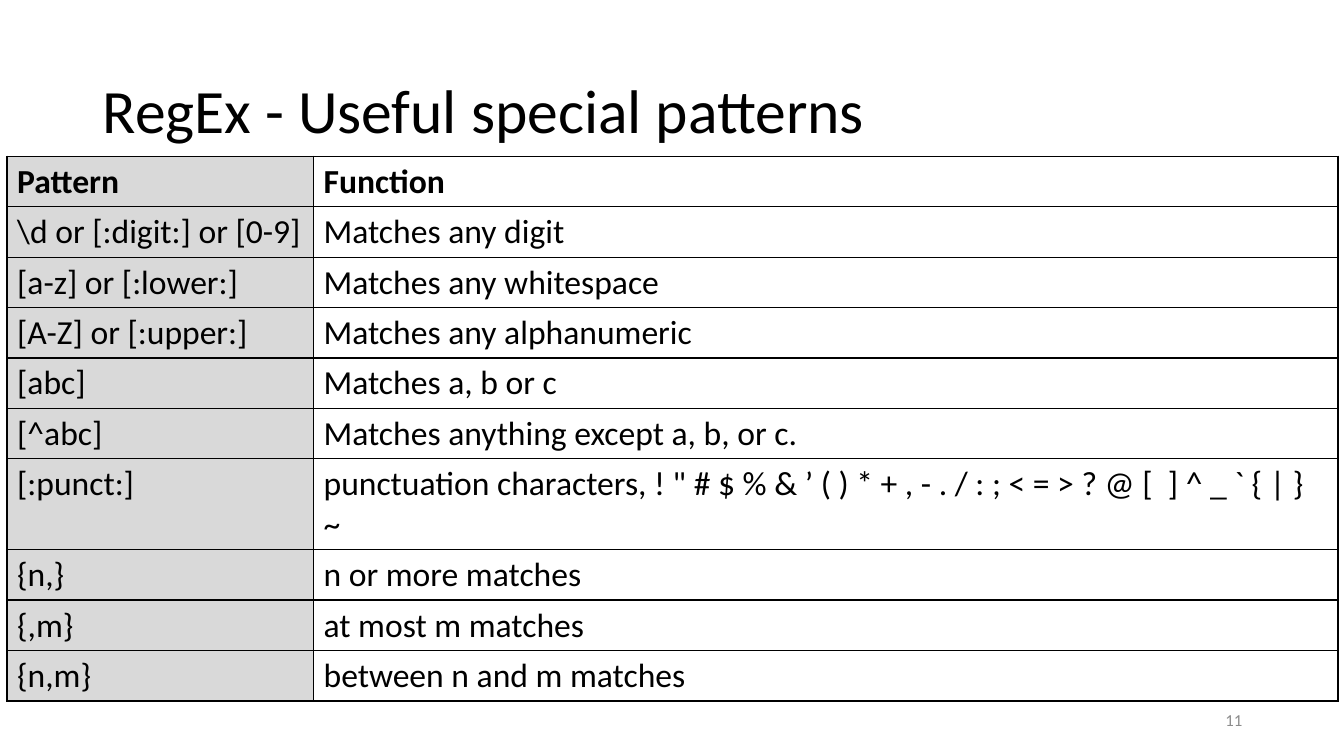
from lxml import etree
from pptx import Presentation
from pptx.dml.color import RGBColor
from pptx.enum import text
from pptx.oxml import ns
from pptx.util import Inches, Pt

TITLE = "RegEx - Useful special patterns"
PAGE = "11"
PATTERNS = [
    ("Pattern", "Function"),
    (r"\d or [:digit:] or [0-9]", "Matches any digit"),
    ("[a-z] or [:lower:]", "Matches any whitespace"),
    ("[A-Z] or [:upper:]", "Matches any alphanumeric"),
    ("[abc]", "Matches a, b or c"),
    ("[^abc]", "Matches anything except a, b, or c."),
    ("[:punct:]", "punctuation characters, ! \" # $ % & ’ ( ) * + , - . / : ; < = > ? @ [  ] ^ _ ` { | } ~"),
    ("{n,}", "n or more matches"),
    ("{,m}", "at most m matches"),
    ("{n,m}", "between n and m matches"),
]
COLUMN_WIDTHS = (3.04, 10.16)
ROW_HEIGHT = 0.47
COLORS = {"ink": "000000", "page": "8C8C8C", "pattern": "D9D9D9", "function": "FFFFFF"}
FONT = "Calibri"


def add_run(paragraph, words, size, color="ink", bold=False):
    run = paragraph.add_run()
    run.text = words
    run.font.name = FONT
    run.font.size = Pt(size)
    run.font.bold = bold
    run.font.color.rgb = RGBColor.from_string(COLORS[color])


def add_label(slide, box, words, size, color, align):
    frame = slide.shapes.add_textbox(*map(Inches, box)).text_frame
    frame.word_wrap = True
    frame.vertical_anchor = text.MSO_ANCHOR.MIDDLE
    paragraph = frame.paragraphs[0]
    paragraph.alignment = align
    paragraph.line_spacing = 0.9
    add_run(paragraph, words, size, color)


def add_borders(cell):
    properties = cell._tc.get_or_add_tcPr()
    for position, side in enumerate(("lnL", "lnR", "lnT", "lnB")):
        line = etree.Element(ns.qn(f"a:{side}"), w=str(Pt(1)))
        fill = etree.SubElement(line, ns.qn("a:solidFill"))
        etree.SubElement(fill, ns.qn("a:srgbClr"), val=COLORS["ink"])
        properties.insert(position, line)


def add_patterns(slide):
    table = slide.shapes.add_table(
        len(PATTERNS), len(COLUMN_WIDTHS), Inches(0.07), Inches(1.55),
        Inches(sum(COLUMN_WIDTHS)), Inches(ROW_HEIGHT * len(PATTERNS))).table
    for column, width in zip(table.columns, COLUMN_WIDTHS):
        column.width = Inches(width)
    for r, entry in enumerate(PATTERNS):
        for c, (words, fill) in enumerate(zip(entry, ("pattern", "function"))):
            cell = table.cell(r, c)
            cell.fill.solid()
            cell.fill.fore_color.rgb = RGBColor.from_string(COLORS[fill])
            add_borders(cell)
            add_run(cell.text_frame.paragraphs[0], words, 24, bold=r == 0)


def main():
    deck = Presentation()
    deck.slide_width, deck.slide_height = Inches(13.33), Inches(7.5)
    slide = deck.slides.add_slide(deck.slide_layouts[6])

    # Title and page number
    add_label(slide, (0.92, 0.4, 11.5, 1.45), TITLE, 44, "ink", text.PP_ALIGN.LEFT)
    add_label(slide, (9.42, 6.95, 3, 0.4), PAGE, 12, "page", text.PP_ALIGN.RIGHT)

    # Pattern table
    add_patterns(slide)
    deck.save("out.pptx")


if __name__ == "__main__":
    main()
